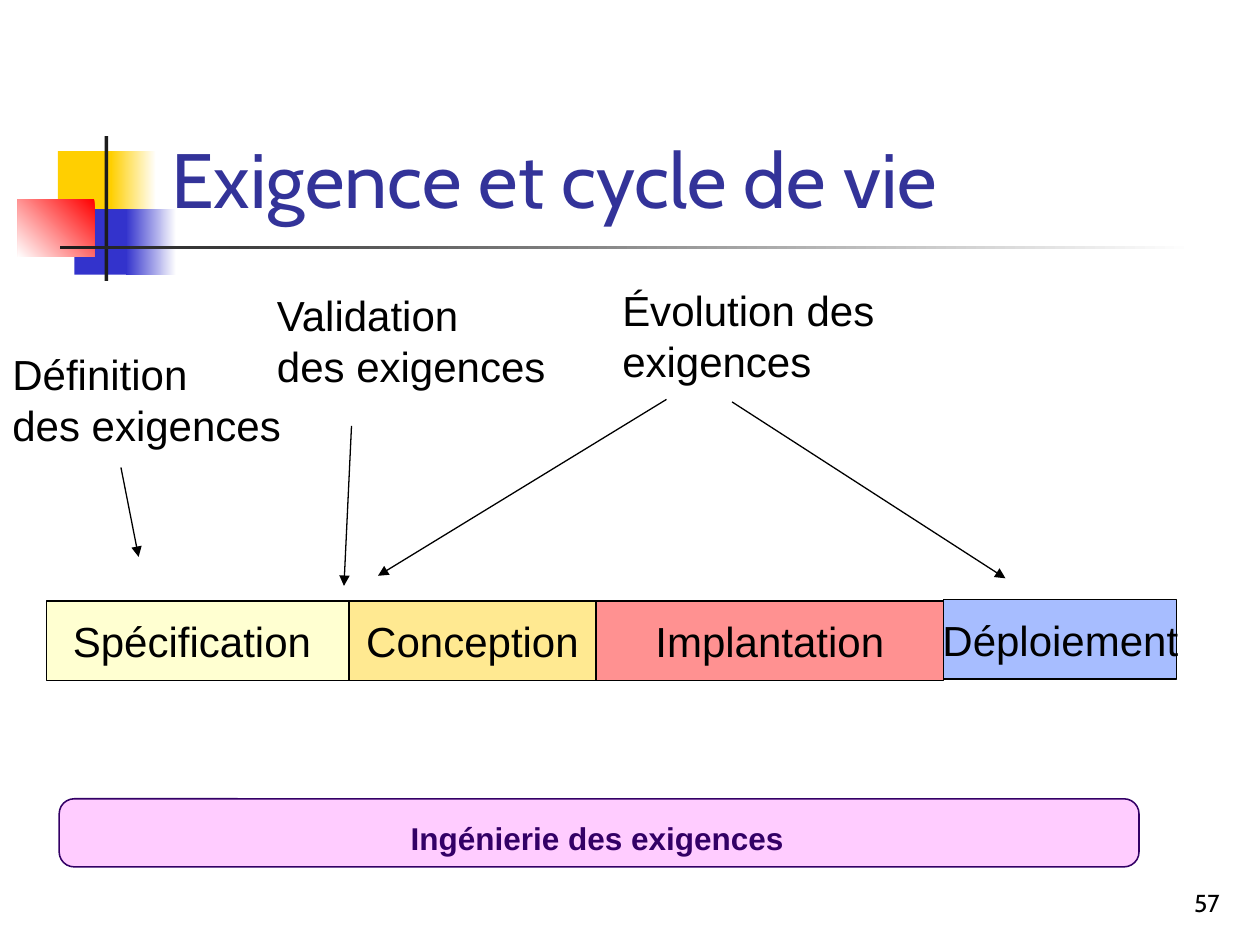
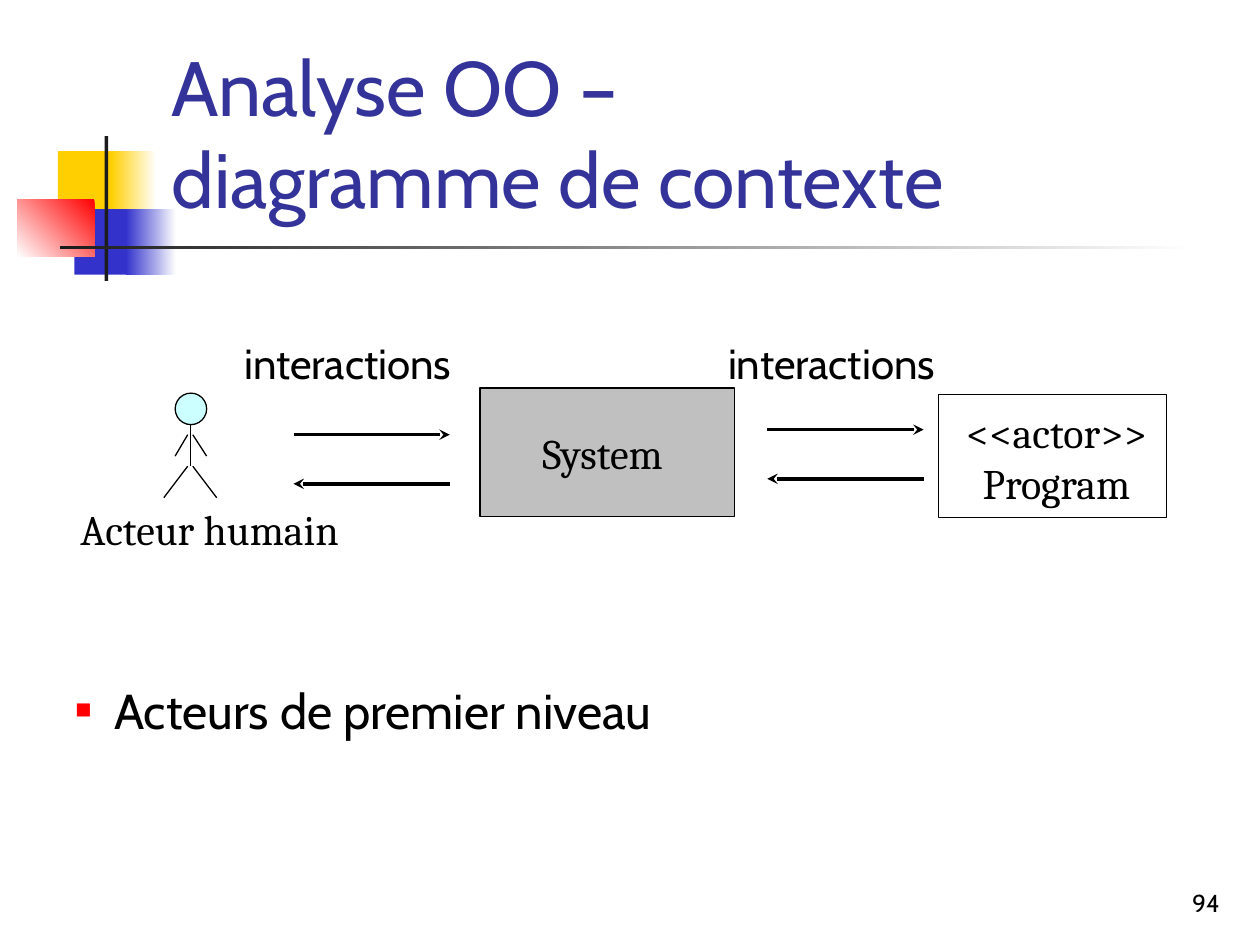
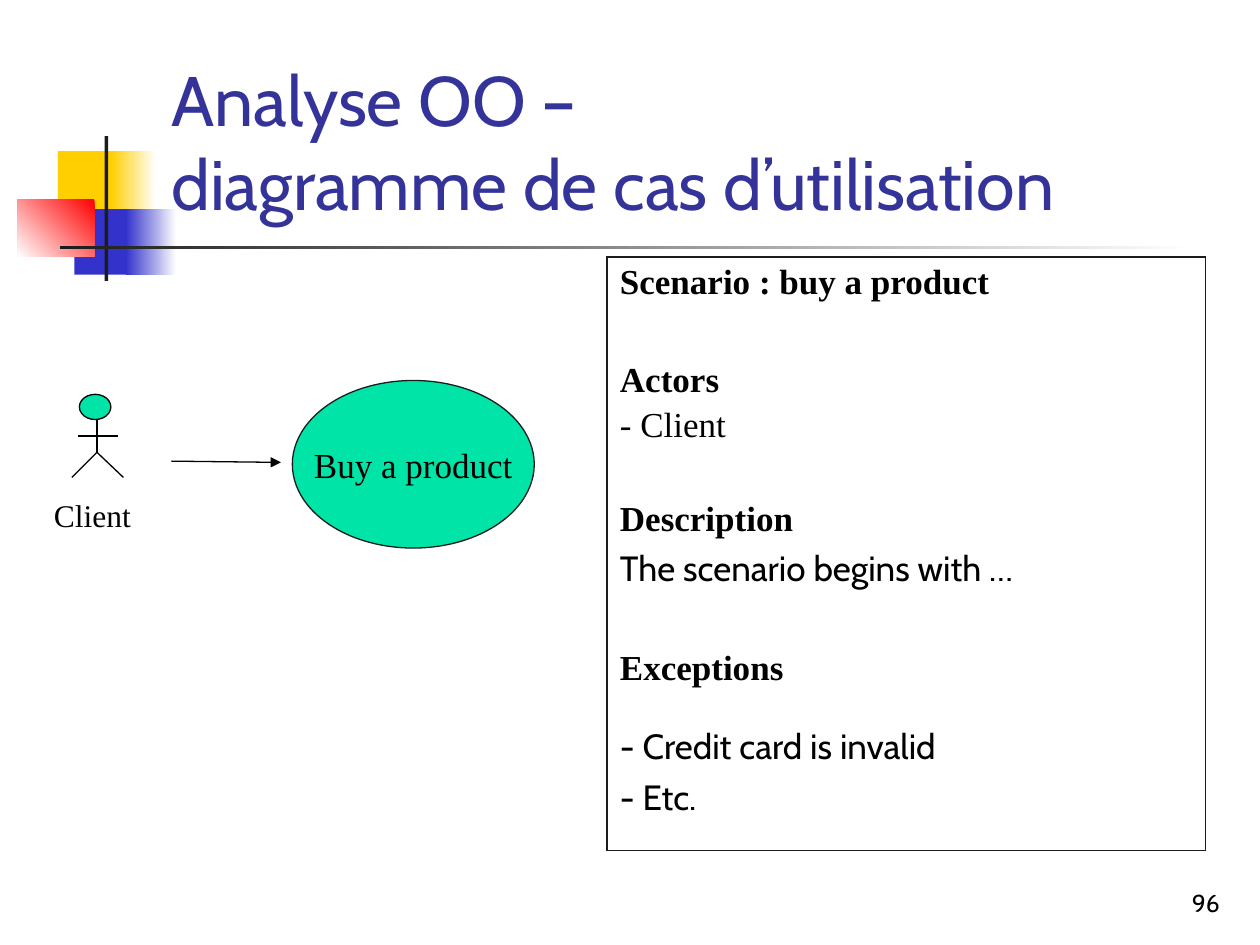
from copy import deepcopy

from lxml import etree
from pptx import Presentation
from pptx.dml.color import RGBColor
from pptx.enum.shapes import MSO_CONNECTOR as LINK, MSO_SHAPE as SHAPE
from pptx.enum.text import MSO_ANCHOR as ANCHOR, MSO_AUTO_SIZE as FIT, PP_ALIGN as ALIGN
from pptx.oxml.ns import qn
from pptx.util import Inches, Pt

BLACK, INK, WHITE, TITLE = "000000", "1C1C1C", "FFFFFF", "333399"
YELLOW, BLUE, RED, GREEN = "FFCF01", "3333CC", "FF0000", "00E4A8"
ARIAL = {"name": "Arial", "size": Pt(24)}
CABIN = {"name": "Cabin", "size": Pt(24)}
CAMBRIA = {"name": "Cambria", "size": Pt(24)}
TIMES = {"name": "Times New Roman", "size": Pt(20)}
HUMAN = {
    "head": (0.09, 0, 0.25, 0.25),
    "limbs": [(0.21, 0.25, 0.21, 0.58), (0.19, 0.58, 0, 0.83), (0.42, 0.83, 0.23, 0.58),
              (0.19, 0.33, 0.09, 0.5), (0.34, 0.5, 0.23, 0.33)],
}
CLIENT = {
    "head": (0.06, 0, 0.25, 0.2),
    "limbs": [(0.2, 0.2, 0.2, 0.46), (0.05, 0.33, 0.37, 0.33),
              (0.2, 0.46, 0.41, 0.66), (0.2, 0.46, 0, 0.66)],
}


def lengths(values):
    """Turn numbers of inches into lengths."""
    return [Inches(value) for value in values]


def assign(target, values):
    """Set each attribute named in a dict."""
    for name, value in values.items():
        setattr(target, name, value)


def paint(fill, color, alpha=None):
    """Give a fill a solid colour, with optional opacity in percent."""
    fill.solid()
    fill.fore_color.rgb = RGBColor.from_string(color)
    if alpha:
        node = next(fill.fore_color._xFill.iter(qn("a:srgbClr")))
        etree.SubElement(node, qn("a:alpha"), val=str(alpha * 1000))


def blend(fill, colors, angle):
    """Give a fill a two-colour linear gradient."""
    fill.gradient()
    fill.gradient_angle = angle
    for stop, color in zip(fill.gradient_stops, colors):
        stop.color.rgb = RGBColor.from_string(color)


def write(frame, lines, style, color=BLACK, align=ALIGN.LEFT):
    """Write one formatted paragraph for each line."""
    for number, line in enumerate(lines):
        para = frame.add_paragraph() if number else frame.paragraphs[0]
        para.text = line
        para.alignment = align
        for span in para.runs:
            assign(span.font, style)
            paint(span.font.fill, color)


def add_text(shapes, box, lines, style, align=ALIGN.LEFT, **options):
    """Add a text box, by default one that grows with its text."""
    label = shapes.add_textbox(*lengths(box))
    assign(label.text_frame, {"word_wrap": False, "auto_size": FIT.SHAPE_TO_FIT_TEXT, **options})
    write(label.text_frame, lines, style, align=align)
    return label


def add_figure(shapes, kind, box, fill=None, line=None, width=0.75, alpha=None):
    """Add a preset shape with a plain fill and outline."""
    figure = shapes.add_shape(kind, *lengths(box))
    figure.shadow.inherit = False
    if fill:
        paint(figure.fill, fill, alpha)
    else:
        figure.fill.background()
    if line:
        paint(figure.line.fill, line)
        figure.line.width = Pt(width)
    else:
        figure.line.fill.background()
    return figure


def add_label(figure, text, style):
    """Centre one line of text in a shape."""
    assign(figure.text_frame, {"word_wrap": False, "vertical_anchor": ANCHOR.MIDDLE})
    write(figure.text_frame, [text], style, align=ALIGN.CENTER)


def add_line(shapes, ends, width=0.75, **arrows):
    """Add a straight line, with arrowheads named headEnd or tailEnd."""
    link = shapes.add_connector(LINK.STRAIGHT, *lengths(ends))
    paint(link.line.fill, BLACK)
    link.line.width = Pt(width)
    properties = link.element.find(qn("p:spPr"))
    for end, kind in arrows.items():
        etree.SubElement(properties.find(qn("a:ln")), qn(f"a:{end}"), type=kind)
    etree.SubElement(properties, qn("a:effectLst"))


def draw_emblem(shapes):
    """Draw the coloured squares and the rules beside the title."""
    parts = [
        ((0.46, 1.2, 0.48, 0.52), YELLOW, None),
        ((0.88, 1.2, 0.36, 0.52), (WHITE, YELLOW), 180),
        ((0.59, 1.66, 0.46, 0.52), BLUE, None),
        ((1, 1.66, 0.4, 0.52), (WHITE, BLUE), 180),
        ((0.14, 1.58, 0.61, 0.46), (RED, WHITE), 225),
        ((0.83, 1.08, 0.03, 1.15), INK, None),
        ((0.48, 1.95, 9, 0.03), (WHITE, INK), 180),
    ]
    for box, color, angle in parts:
        part = add_figure(shapes, SHAPE.RECTANGLE, box, None if angle else color)
        if angle:
            blend(part.fill, color, angle)


def start_page(deck, text, number, size=44):
    """Add a slide with its emblem, title and number."""
    page = deck.slides.add_slide(deck.slide_layouts[5])
    draw_emblem(page.shapes)
    title = page.shapes.title
    assign(title, dict(zip(("left", "top", "width", "height"), lengths((1.26, 0.23, 8.52, 1.6)))))
    assign(title.text_frame, {"vertical_anchor": ANCHOR.BOTTOM, "auto_size": FIT.NONE, "word_wrap": True})
    write(title.text_frame, [text], {"name": "Cabin", "size": Pt(size)}, TITLE)
    run_format = next(title.element.iter(qn("a:rPr")))
    for line_break in title.element.iter(qn("a:br")):
        line_break.append(deepcopy(run_format))
    title.element.getparent().append(title.element)
    add_text(page.shapes, (7.7, 6.83, 2.08, 0.5), [number], {**CABIN, "size": Pt(14)}, ALIGN.RIGHT,
             word_wrap=True, auto_size=FIT.NONE, vertical_anchor=ANCHOR.BOTTOM)
    return page


def draw_engineering_band(shapes, left, top):
    """Draw the rounded band that spans all phases."""
    band = add_figure(shapes, SHAPE.ROUNDED_RECTANGLE, (left, top, 8.57, 0.54), "FFCCFF", "330066", 0.88)
    band.adjustments[0] = 0.22
    label = add_figure(shapes, SHAPE.RECTANGLE, (left + 2.79, top + 0.16, 2.96, 0.3), "FFCCFF")
    sides = ("margin_left", "margin_top", "margin_right", "margin_bottom")
    assign(label.text_frame, {"word_wrap": False, **dict.fromkeys(sides, 0)})
    write(label.text_frame, ["Ingénierie des exigences"], {**ARIAL, "size": Pt(18), "bold": True}, "330066")


def draw_phases(shapes, left, top):
    """Draw the phases of the life cycle side by side."""
    phases = [
        ("Spécification ", 2.4, "FFFF99", 45, 0),
        ("Conception", 1.96, "FFCC00", 43, 0),
        ("Implantation", 2.76, "FF0000", 43, 0),
        ("Déploiement", 1.85, "3366FF", 43, -0.01),
    ]
    for name, width, color, alpha, shift in phases:
        phase = add_figure(shapes, SHAPE.RECTANGLE, (left, top + shift, width, 0.63), color, BLACK, alpha=alpha)
        add_label(phase, name, ARIAL)
        left += width


def build_life_cycle(deck):
    """Build the slide on requirements over the life cycle."""
    page = start_page(deck, "Exigence et cycle de vie", "57")
    draw_engineering_band(page.shapes, 0.47, 6.34)
    draw_phases(page.shapes, 0.37, 4.77)
    activities = [
        ((0, 2.72, 2.33, 0.9), ["Définition", "des exigences"], [(0.96, 3.71, 1.1, 4.42)]),
        ((2.1, 2.25, 2.33, 0.9), ["Validation", "des exigences"], [(2.79, 3.38, 2.73, 4.65)]),
        ((4.84, 2.21, 2.29, 0.9), ["Évolution des", "exigences"],
         [(5.29, 3.17, 3, 4.57), (5.81, 3.19, 7.98, 4.59)]),
    ]
    for box, lines, arrows in activities:
        add_text(page.shapes, box, lines, ARIAL)
        for ends in arrows:
            add_line(page.shapes, ends, tailEnd="triangle")


def draw_actor(shapes, left, top, pose, color):
    """Draw a stick figure from its head and limbs."""
    for x1, y1, x2, y2 in pose["limbs"]:
        add_line(shapes, (left + x1, top + y1, left + x2, top + y2))
    x, y, width, height = pose["head"]
    add_figure(shapes, SHAPE.OVAL, (left + x, top + y, width, height), color, BLACK)


def draw_interactions(shapes, left, top, label_left):
    """Draw a pair of opposite arrows under their label."""
    for y, end in ((top, "tailEnd"), (top + 0.39, "headEnd")):
        add_line(shapes, (left, y, left + 1.24, y), 2, **{end: "stealth"})
    add_text(shapes, (label_left, 2.63, 2.06, 0.5), ["interactions"], CABIN)


def draw_bullet(shapes, box, text):
    """Write one line behind a red square bullet."""
    label = add_text(shapes, box, [text], {**CABIN, "size": Pt(28)}, word_wrap=True, auto_size=FIT.NONE)
    properties = next(label.element.iter(qn("a:pPr")))
    assign_indent = {"marL": Inches(0.81), "indent": Inches(-0.31)}
    for name, value in assign_indent.items():
        properties.set(name, str(int(value)))
    color = etree.SubElement(properties, qn("a:buClr"))
    etree.SubElement(color, qn("a:srgbClr"), val=RED)
    etree.SubElement(properties, qn("a:buSzPct"), val="55000")
    etree.SubElement(properties, qn("a:buFont"), typeface="Arial")
    etree.SubElement(properties, qn("a:buChar"), char="■")


def build_context(deck):
    """Build the context diagram slide."""
    page = start_page(deck, "Analyse OO – \ndiagramme de contexte", "94")
    shapes = page.shapes
    draw_actor(shapes, 1.3, 3.12, HUMAN, "CCFFFF")
    add_text(shapes, (0.54, 3.95, 2.25, 0.5), ["Acteur humain"], CAMBRIA)
    system = add_figure(shapes, SHAPE.RECTANGLE, (3.81, 3.08, 2.02, 1.02), "C0C0C0", BLACK, 1)
    add_label(system, "System ", CAMBRIA)
    add_text(shapes, (7.57, 3.18, 1.63, 0.9), ["<<actor>>", "Program"], CAMBRIA, ALIGN.CENTER)
    add_figure(shapes, SHAPE.RECTANGLE, (7.45, 3.13, 1.81, 0.98), line=BLACK)
    draw_interactions(shapes, 2.33, 3.45, 1.84)
    draw_interactions(shapes, 6.09, 3.41, 5.68)
    draw_bullet(shapes, (0, 5.35, 9.38, 0.82), "Acteurs de premier niveau")


def draw_scenario(shapes, box):
    """Draw the framed scenario as a table of one cell."""
    heading, plain, modern = {**TIMES, "bold": True}, TIMES, {**CABIN, "size": Pt(20)}
    lines = [
        ("Scenario\u00a0: buy a product", heading, 0),
        ("Actors", heading, 33.5),
        ("- Client", plain, 4),
        ("Description", heading, 31.5),
        ("The scenario begins with …", modern, 4.5),
        ("Exceptions", heading, 34),
        ("- Credit card is invalid", modern, 21.5),
        ("- Etc.", modern, 4.8),
    ]
    table = shapes.add_table(1, 1, *lengths(box)).table
    assign(table, {"first_row": False, "horz_banding": False})
    cell = table.cell(0, 0)
    write(cell.text_frame, [text for text, _, _ in lines], plain)
    for para, (_, style, gap) in zip(cell.text_frame.paragraphs, lines):
        assign(para.runs[0].font, style)
        if gap:
            para.space_before = Pt(gap)
    properties = cell._tc.get_or_add_tcPr()
    for side, width in (("L", 1.08), ("R", 0.45), ("T", 1.08), ("B", 1.08)):
        border = etree.SubElement(properties, qn(f"a:ln{side}"), w=str(int(Pt(width))))
        solid = etree.SubElement(border, qn("a:solidFill"))
        etree.SubElement(solid, qn("a:srgbClr"), val=INK)
    cell.fill.background()


def build_use_case(deck):
    """Build the use case diagram slide."""
    page = start_page(deck, "Analyse OO – \ndiagramme de cas d’utilisation", "96", 40)
    shapes = page.shapes
    draw_scenario(shapes, (4.82, 2.04, 4.75, 4.71))
    draw_actor(shapes.add_group_shape().shapes, 0.57, 3.13, CLIENT, GREEN)
    add_line(shapes, (1.36, 3.66, 2.23, 3.67), tailEnd="triangle")
    use_case = add_figure(shapes, SHAPE.OVAL, (2.32, 3.02, 1.92, 1.33), GREEN, INK)
    add_label(use_case, "Buy a product", TIMES)
    add_text(shapes, (0.33, 3.89, 0.81, 0.4), ["Client"], {**TIMES, "size": Pt(18)})


def main():
    """Build and save the deck."""
    deck = Presentation()
    assign(deck, {"slide_width": Inches(10), "slide_height": Inches(7.5)})
    build_life_cycle(deck)
    build_context(deck)
    build_use_case(deck)
    deck.save("out.pptx")


if __name__ == "__main__":
    main()
